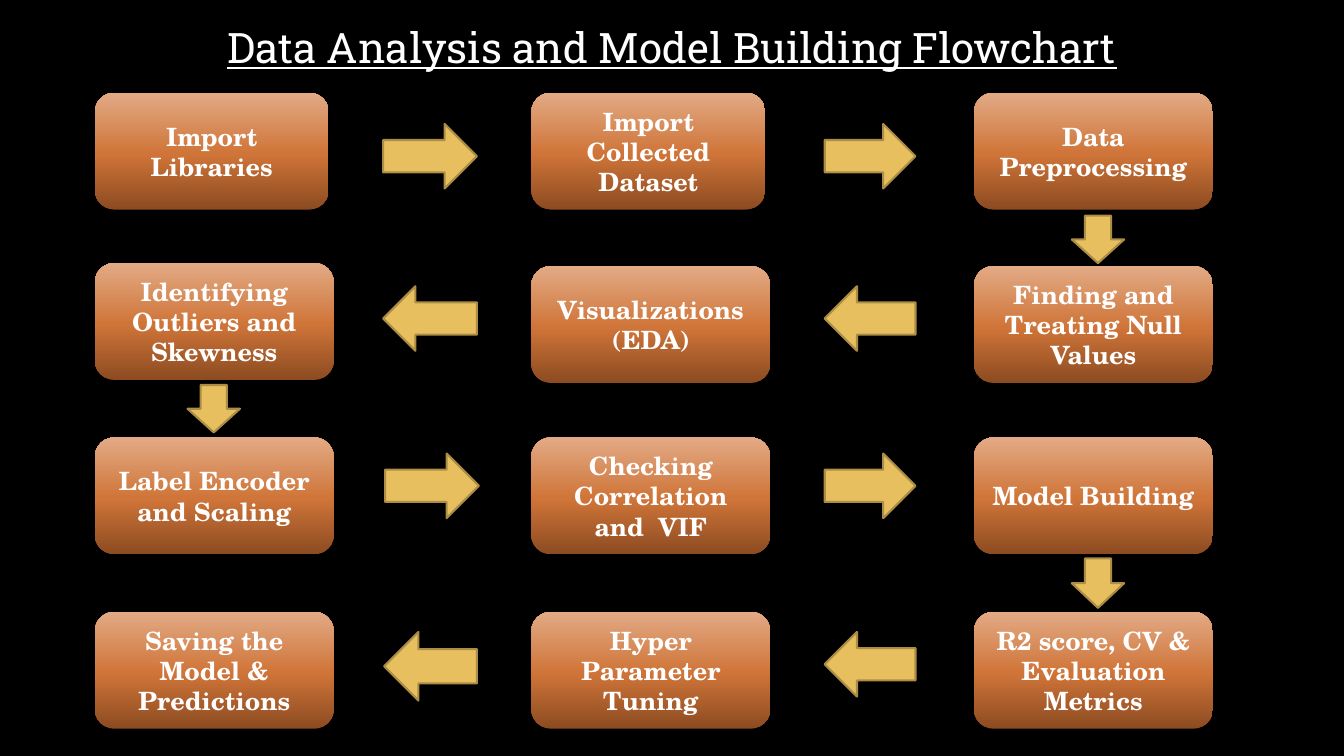
from copy import deepcopy
from dataclasses import dataclass

from pptx import Presentation
from pptx.dml.color import RGBColor
from pptx.enum.shapes import MSO_SHAPE
from pptx.enum.text import MSO_ANCHOR, MSO_AUTO_SIZE, PP_ALIGN
from pptx.oxml.ns import qn
from pptx.shapes.autoshape import Shape
from pptx.slide import Slide
from pptx.text.text import TextFrame
from pptx.util import Inches, Pt

BOX = MSO_SHAPE.FLOWCHART_ALTERNATE_PROCESS
RIGHT = MSO_SHAPE.RIGHT_ARROW
LEFT = MSO_SHAPE.LEFT_ARROW
DOWN = MSO_SHAPE.DOWN_ARROW
CENTER = PP_ALIGN.CENTER
MIDDLE = MSO_ANCHOR.MIDDLE
NO_AUTOSIZE = MSO_AUTO_SIZE.NONE

SLIDE_WIDTH, SLIDE_HEIGHT = 13.33, 7.5
COLUMNS = (0.94, 5.27, 9.66)
ROWS = (0.92, 2.64, 4.34, 6.07)
BOX_WIDTH, BOX_HEIGHT = 2.37, 1.16
NARROW_BOX = 2.32
GAP_COLUMNS = (3.8, 8.18)
ARROW_WIDTHS = (0.93, 0.9)
ARROW_ROWS = (1.23, 2.84, 4.5, 6.27)
ARROW_HEIGHT = 0.64


@dataclass(frozen=True)
class Theme:
    background: str = "000000"
    text: str = "FFFFFF"
    arrow: str = "E7BF5F"
    arrow_line: str = "AB8D46"
    gradient: tuple[tuple[float, str], ...] = (
        (0, "8C4B21"), (0.48, "D07539"), (1, "E2AA85"))
    title_font: str = "Roboto Slab"
    box_font: str = "TeX Gyre Schola"
    title_size: int = 30
    box_size: int = 18
    line_width: float = 1.5


@dataclass(frozen=True)
class Step:
    text: str
    column: int
    row: int
    width: float = BOX_WIDTH
    shift: float = 0


@dataclass(frozen=True)
class Arrow:
    direction: MSO_SHAPE
    left: float
    top: float
    width: float
    height: float


THEME = Theme()

STEPS = (
    Step("Import Libraries", 0, 0, NARROW_BOX),
    Step("Import Collected Dataset", 1, 0, NARROW_BOX),
    Step("Data Preprocessing", 2, 0),
    Step("Finding and Treating Null Values", 2, 1),
    Step("Visualizations\n(EDA)", 1, 1),
    Step("Identifying Outliers and Skewness", 0, 1, shift=-0.03),
    Step("Label Encoder and Scaling", 0, 2),
    Step("Checking Correlation and  VIF", 1, 2),
    Step("Model Building", 2, 2),
    Step("R2 score, CV & Evaluation Metrics", 2, 3),
    Step("Hyper Parameter Tuning", 1, 3),
    Step("Saving the Model & Predictions", 0, 3),
)

DOWN_ARROWS = (
    Arrow(DOWN, 10.63, 2.14, 0.52, 0.47),
    Arrow(DOWN, 1.86, 3.82, 0.52, 0.47),
    Arrow(DOWN, 10.63, 5.54, 0.52, 0.49),
)

ADJUSTED_ARROWS = {
    (2, 0): Arrow(RIGHT, 3.82, 4.5, 0.93, 0.64),
    (3, 0): Arrow(LEFT, 3.81, 6.27, 0.92, 0.68),
}


def row_arrow(row: int, gap: int) -> Arrow:
    direction = LEFT if row % 2 else RIGHT
    regular = Arrow(direction, GAP_COLUMNS[gap], ARROW_ROWS[row],
                    ARROW_WIDTHS[gap], ARROW_HEIGHT)
    return ADJUSTED_ARROWS.get((row, gap), regular)


def color(value: str) -> RGBColor:
    return RGBColor.from_string(value)


def format_text(text_frame: TextFrame, name: str, size: int,
                bold: bool = False, underline: bool = False) -> None:
    text_frame.word_wrap = True
    text_frame.vertical_anchor = MIDDLE
    for paragraph in text_frame.paragraphs:
        paragraph.alignment = CENTER
        for run in paragraph.runs:
            run.font.name = name
            run.font.size = Pt(size)
            run.font.bold = bold
            run.font.underline = underline
            run.font.color.rgb = color(THEME.text)


def add_title(slide: Slide, text: str) -> None:
    title = slide.shapes.title
    title.left, title.top = Inches(0), Inches(0.16)
    title.width, title.height = Inches(SLIDE_WIDTH), Inches(0.61)
    title.text_frame.text = text
    title.text_frame.auto_size = NO_AUTOSIZE
    format_text(title.text_frame, THEME.title_font, THEME.title_size,
                underline=True)


def add_preset(slide: Slide, preset: MSO_SHAPE, left: float, top: float,
               width: float, height: float) -> Shape:
    shape = slide.shapes.add_shape(
        preset, Inches(left), Inches(top), Inches(width), Inches(height))
    shape.shadow.inherit = False
    return shape


def add_arrow(slide: Slide, arrow: Arrow) -> None:
    shape = add_preset(slide, arrow.direction, arrow.left, arrow.top,
                       arrow.width, arrow.height)
    shape.fill.solid()
    shape.fill.fore_color.rgb = color(THEME.arrow)
    shape.line.color.rgb = color(THEME.arrow_line)
    shape.line.width = Pt(THEME.line_width)


def fill_gradient(shape: Shape) -> None:
    shape.fill.gradient()
    shape.fill.gradient_angle = 90
    stop_list = shape.element.spPr.find(qn("a:gradFill")).find(qn("a:gsLst"))
    stop_list.append(deepcopy(stop_list[0]))
    for stop, (position, value) in zip(shape.fill.gradient_stops, THEME.gradient):
        stop.position = position
        stop.color.rgb = color(value)


def add_step(slide: Slide, step: Step) -> None:
    shape = add_preset(slide, BOX, COLUMNS[step.column],
                       ROWS[step.row] + step.shift, step.width, BOX_HEIGHT)
    fill_gradient(shape)
    shape.line.fill.background()
    shape.text_frame.text = step.text
    format_text(shape.text_frame, THEME.box_font, THEME.box_size, bold=True)


def main() -> None:
    presentation = Presentation()
    presentation.slide_width = Inches(SLIDE_WIDTH)
    presentation.slide_height = Inches(SLIDE_HEIGHT)
    slide = presentation.slides.add_slide(
        presentation.slide_layouts.get_by_name("Title Only"))
    slide.background.fill.solid()
    slide.background.fill.fore_color.rgb = color(THEME.background)

    add_title(slide, "Data Analysis and Model Building Flowchart")
    for row in range(len(ROWS)):
        for gap in range(len(GAP_COLUMNS)):
            add_arrow(slide, row_arrow(row, gap))
    for arrow in DOWN_ARROWS:
        add_arrow(slide, arrow)
    for step in STEPS:
        add_step(slide, step)
    presentation.save("out.pptx")


if __name__ == "__main__":
    main()
